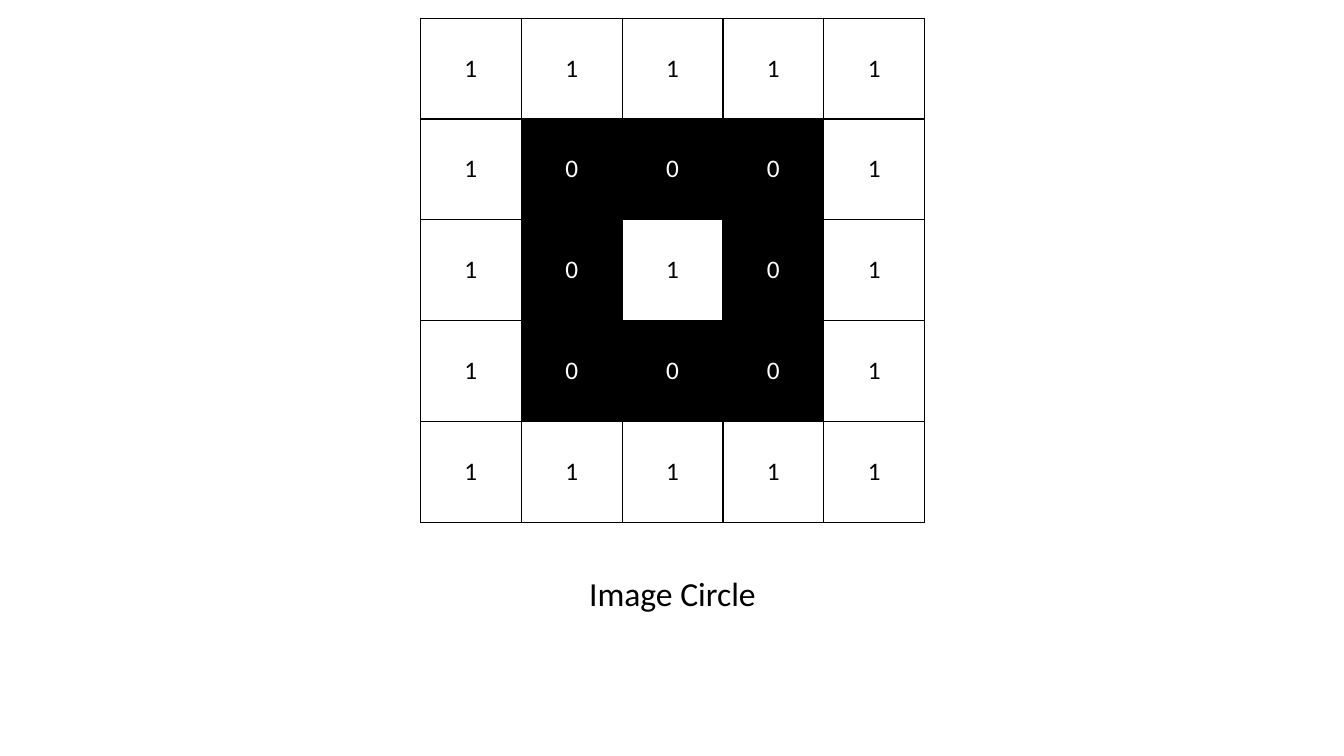
from dataclasses import dataclass

from lxml import etree
from pptx import Presentation
from pptx.dml.color import RGBColor
from pptx.enum.text import MSO_ANCHOR, PP_ALIGN
from pptx.oxml.ns import qn
from pptx.slide import Slide
from pptx.table import _Cell
from pptx.text.text import _Paragraph
from pptx.util import Inches, Pt

BLACK = RGBColor(0x00, 0x00, 0x00)
WHITE = RGBColor(0xFF, 0xFF, 0xFF)
CENTER = PP_ALIGN.CENTER
MIDDLE = MSO_ANCHOR.MIDDLE
FONT = "Calibri"
CELL_SIZE = Inches(1)
BORDER_WIDTH = Pt(1)
BORDER_TAGS = ("a:lnL", "a:lnR", "a:lnT", "a:lnB")
PIXEL_ROWS = ("11111", "10001", "10101", "10001", "11111")


@dataclass(frozen=True)
class PixelStyle:
    fill: RGBColor
    text: RGBColor


PIXEL_STYLES = {"0": PixelStyle(BLACK, WHITE), "1": PixelStyle(WHITE, BLACK)}


def format_paragraph(paragraph: _Paragraph, size: int, color: RGBColor) -> None:
    paragraph.alignment = CENTER
    font = paragraph.runs[0].font
    font.name = FONT
    font.size = Pt(size)
    font.color.rgb = color


def add_borders(cell: _Cell) -> None:
    """Outline the cell; borders must precede the fill in its properties."""
    properties = cell._tc.get_or_add_tcPr()
    for position, tag in enumerate(BORDER_TAGS):
        line = etree.Element(qn(tag), w=str(BORDER_WIDTH))
        fill = etree.SubElement(line, qn("a:solidFill"))
        etree.SubElement(fill, qn("a:srgbClr"), val=str(BLACK))
        properties.insert(position, line)


def draw_pixel(cell: _Cell, value: str) -> None:
    style = PIXEL_STYLES[value]
    cell.fill.solid()
    cell.fill.fore_color.rgb = style.fill
    cell.vertical_anchor = MIDDLE
    cell.text_frame.text = value
    format_paragraph(cell.text_frame.paragraphs[0], 18, style.text)
    add_borders(cell)


def add_pixel_grid(slide: Slide) -> None:
    count = len(PIXEL_ROWS)
    side = CELL_SIZE * count
    table = slide.shapes.add_table(
        count, count, Inches(4.17), Inches(0.18), side, side
    ).table
    table.first_row = False
    table.horz_banding = False
    for row, values in enumerate(PIXEL_ROWS):
        table.rows[row].height = CELL_SIZE
        table.columns[row].width = CELL_SIZE
        for column, value in enumerate(values):
            draw_pixel(table.cell(row, column), value)


def add_caption(slide: Slide) -> None:
    caption = slide.shapes.add_textbox(
        Inches(0.92), Inches(5.68), Inches(11.5), Inches(1.64)
    )
    caption.text_frame.word_wrap = True
    caption.text_frame.text = "Image Circle"
    paragraph = caption.text_frame.paragraphs[0]
    paragraph.line_spacing = 0.9
    paragraph.space_before = Pt(10)
    format_paragraph(paragraph, 24, BLACK)


def main() -> None:
    presentation = Presentation()
    presentation.slide_width = Inches(13.33)
    presentation.slide_height = Inches(7.5)
    slide = presentation.slides.add_slide(presentation.slide_layouts[6])
    add_pixel_grid(slide)
    add_caption(slide)
    presentation.save("out.pptx")


if __name__ == "__main__":
    main()
